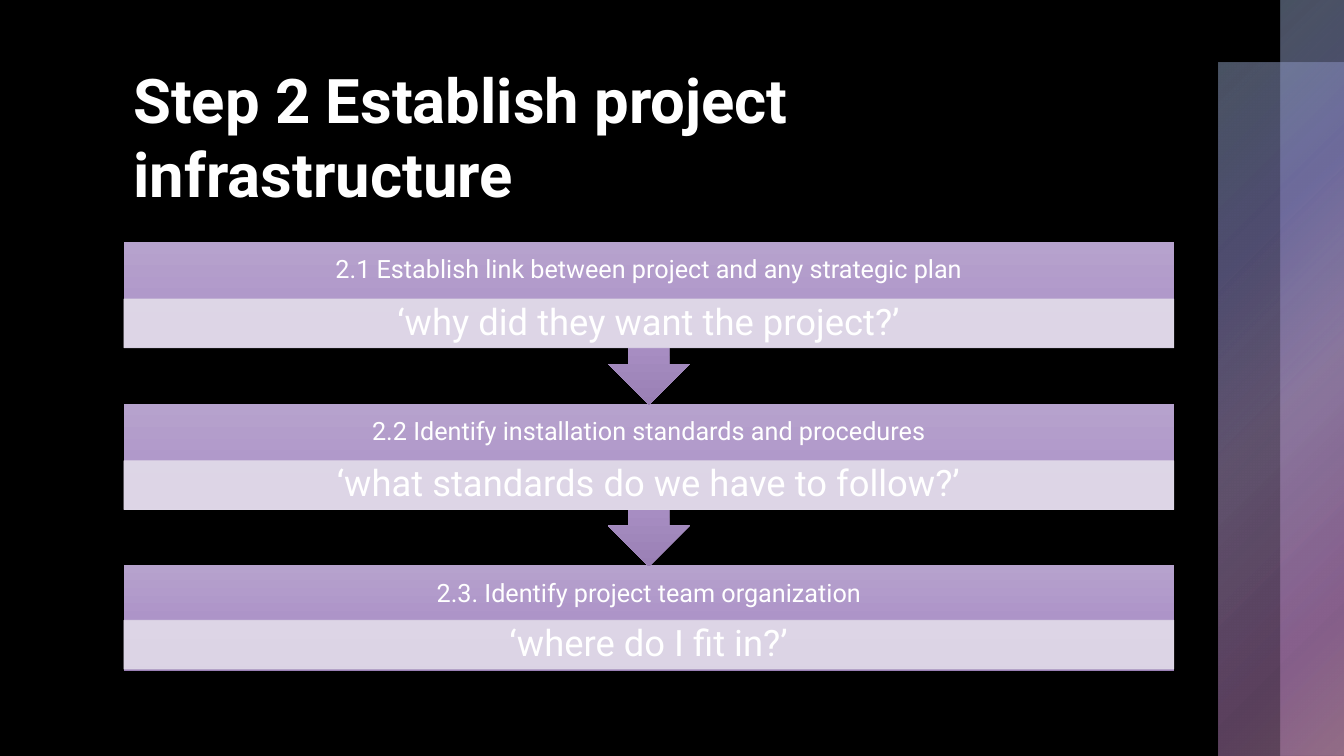
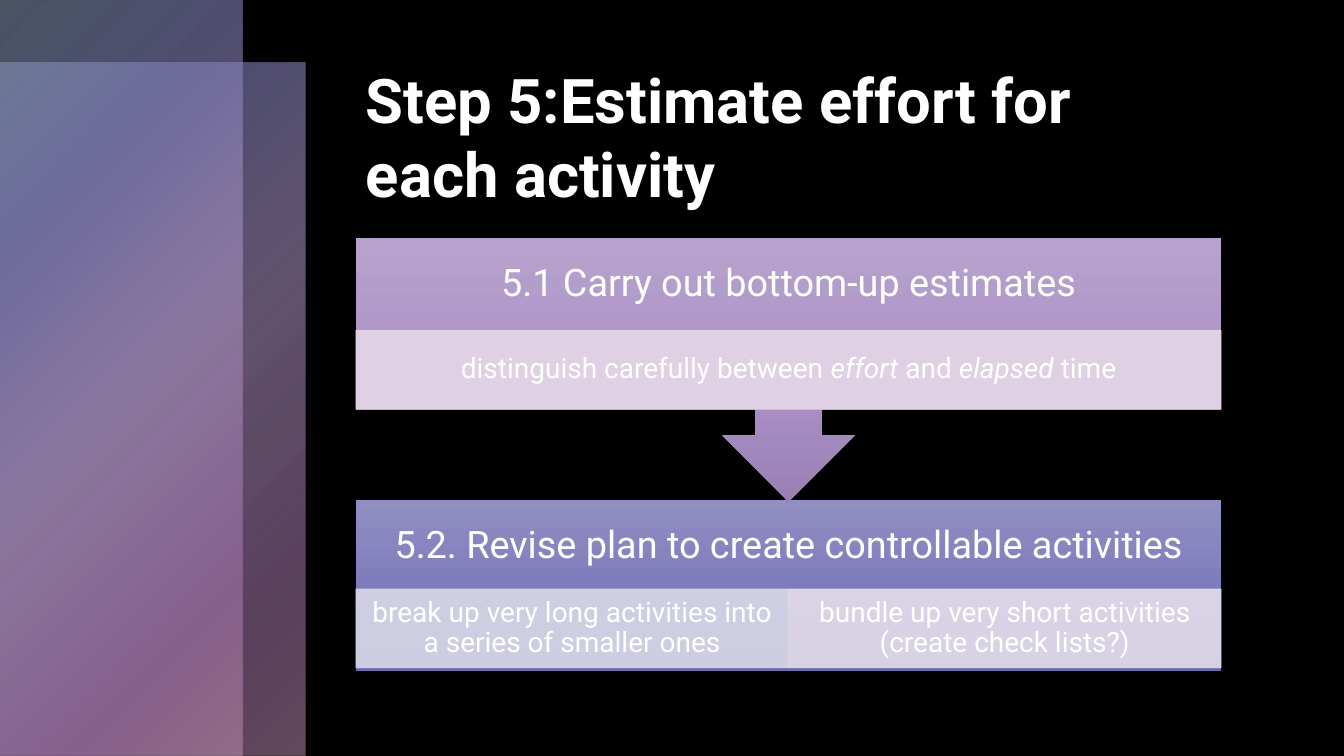
from dataclasses import dataclass

from lxml import etree
from pptx import Presentation
from pptx import util as u
from pptx.dml.color import RGBColor
from pptx.enum import shapes, text
from pptx.oxml import ns

FONT = "Roboto"
COLORS = {
    "ground": "000000", "text": "FFFFFF",
    "lilac": "E3DDEA", "rose": "E5D8E7", "ice": "D8D8E7",
}
# Gradient stops: position %, colour, opacity %
GLOW = [(0, "92A4C4", 50), (25, "827FBA", 60), (50, "AD96C6", 55),
        (81, "B37FBA", 50), (99, "C593B5", 50)]
PURPLE = [(0, "B6A2CD", 100), (50, "AD94C8", 100), (100, "9A80B5", 100)]
INDIGO = [(0, "918EC2", 100), (50, "7F7CBD", 100), (100, "6E6BAB", 100)]

# The slide is a grid of 64 columns by 36 rows of square cells
COLS, ROWS = 64, 36
SLIDE_W, SLIDE_H = u.Inches(13.333), u.Inches(7.5)
CELL = SLIDE_H / ROWS

# Shares of a stage's box height
HEADER_SHARE, STRIP_SHARE, LAST_STRIP_TOP = 0.54, 0.46, 0.52
CALLOUT_BOX_SHARE = 0.65
OPACITY = 90


@dataclass(frozen=True)
class Area:
    col: float
    row: float
    cols: float
    rows: float

    def emu(self) -> list[int]:
        return [round(n * CELL) for n in (self.col, self.row, self.cols, self.rows)]


@dataclass(frozen=True)
class Detail:
    runs: tuple[str, ...]  # every second run is italic
    color: str = "lilac"


@dataclass(frozen=True)
class Stage:
    header: str
    details: tuple[Detail, ...]
    gradient: list


@dataclass(frozen=True)
class Flow:
    area: Area  # rows is the height of one box
    pitch: float
    header_pt: float
    detail_pt: float
    header_inset: float
    detail_insets: tuple[float, float]
    stages: tuple[Stage, ...]


@dataclass(frozen=True)
class Page:
    title: str
    title_area: Area
    bands: tuple[Area, ...]
    flow: Flow


PAGES = (
    Page(
        "Step 2 Establish project infrastructure",
        Area(5.88, 2.4, 49.76, 8.16),
        (Area(58, 3, 6, 33), Area(61, 0, 3, 36)),
        Flow(Area(5.9, 11.52, 50, 5.04), 7.7, 18, 26, 0.14, (0.2, 0.04), (
            Stage("2.1 Establish link between project and any strategic plan",
                  (Detail(("‘why did they want the project?’",)),), PURPLE),
            Stage("2.2 Identify installation standards and procedures",
                  (Detail(("‘what standards do we have to follow?’",)),), PURPLE),
            Stage("2.3. Identify project team organization",
                  (Detail(("‘where do I fit in?’",)),), PURPLE),
        )),
    ),
    Page(
        "Step 5:Estimate effort for each activity",
        Area(16.95, 2.4, 41.2, 8.16),
        (Area(0, 3, 14.55, 33), Area(0, 0, 11.57, 36)),
        Flow(Area(16.95, 11.33, 41.2, 8.16), 12.48, 27, 20, 0.21, (0.16, 0.03), (
            Stage("5.1 Carry out bottom-up estimates",
                  (Detail(("distinguish carefully between ", "effort", " and ",
                           "elapsed", " time"), "rose"),), PURPLE),
            Stage("5.2. Revise plan to create controllable activities",
                  (Detail(("break up very long activities into a series of "
                           "smaller ones",), "ice"),
                   Detail(("bundle up very short activities (create check lists?)",))),
                  INDIGO),
        )),
    ),
)


def rgb(name: str) -> RGBColor:
    return RGBColor.from_string(COLORS[name])


def set_opacity(fill_parent, percent: int) -> None:
    color = next(fill_parent.iter(ns.qn("a:srgbClr")))
    etree.SubElement(color, ns.qn("a:alpha")).set("val", str(percent * 1000))


def add_gradient(slide, kind, area: Area, stops: list, radial: bool = False):
    """Draw an unlined shape with a gradient running down or out of its corner."""
    shape = slide.shapes.add_shape(kind, *area.emu())
    shape.shadow.inherit = False
    shape.line.fill.background()
    grad = etree.Element(ns.qn("a:gradFill"), rotWithShape="1")
    stop_list = etree.SubElement(grad, ns.qn("a:gsLst"))
    for position, color, opacity in stops:
        stop = etree.SubElement(stop_list, ns.qn("a:gs"), pos=str(position * 1000))
        value = etree.SubElement(stop, ns.qn("a:srgbClr"), val=color)
        if opacity < 100:
            etree.SubElement(value, ns.qn("a:alpha"), val=str(opacity * 1000))
    if radial:
        path_fill = etree.SubElement(grad, ns.qn("a:path"), path="circle")
        etree.SubElement(path_fill, ns.qn("a:fillToRect"), r="100000", b="100000")
    else:
        etree.SubElement(grad, ns.qn("a:lin"), ang="5400000", scaled="0")
    shape.fill.background()
    no_fill = shape._element.spPr.find(ns.qn("a:noFill"))
    shape._element.spPr.replace(no_fill, grad)
    return shape


def write(shape, runs: tuple[str, ...], size: float, insets: tuple[float, float],
          align=text.PP_ALIGN.CENTER, spacing: float = 0.9, bold: bool = False) -> None:
    frame = shape.text_frame
    frame.word_wrap = True
    frame.vertical_anchor = text.MSO_ANCHOR.MIDDLE
    frame.margin_left = frame.margin_right = u.Inches(insets[0])
    frame.margin_top = frame.margin_bottom = u.Inches(insets[1])
    paragraph = frame.paragraphs[0]
    paragraph.alignment = align
    paragraph.line_spacing = spacing
    for index, words in enumerate(runs):
        run = paragraph.add_run()
        run.text = words
        if index % 2:
            run.font.italic = True
    font = paragraph.font
    font.name, font.size, font.bold = FONT, u.Pt(size), bold
    font.color.rgb = rgb("text")


def add_strip(slide, area: Area, detail: Detail, flow: Flow) -> None:
    strip = slide.shapes.add_shape(shapes.MSO_SHAPE.RECTANGLE, *area.emu())
    strip.shadow.inherit = False
    for fill in (strip.fill, strip.line.fill):
        fill.solid()
        fill.fore_color.rgb = rgb(detail.color)
    strip.line.width = u.Pt(0.5)
    props = strip._element.spPr
    set_opacity(props.find(ns.qn("a:solidFill")), OPACITY)
    set_opacity(props.find(ns.qn("a:ln")), OPACITY)
    write(strip, detail.runs, flow.detail_pt, flow.detail_insets)


def add_stage(slide, flow: Flow, index: int) -> None:
    stage, box = flow.stages[index], flow.area
    last = index == len(flow.stages) - 1
    top = box.row + index * flow.pitch
    # Body: a box, with an arrow to the next stage where there is one
    kind = (shapes.MSO_SHAPE.RECTANGLE if last
            else shapes.MSO_SHAPE.DOWN_ARROW_CALLOUT)
    height = box.rows if last else box.rows / CALLOUT_BOX_SHARE
    add_gradient(slide, kind, Area(box.col, top, box.cols, height), stage.gradient)
    # Header
    header_area = Area(box.col, top, box.cols, HEADER_SHARE * box.rows)
    header = slide.shapes.add_textbox(*header_area.emu())
    write(header, (stage.header,), flow.header_pt, (flow.header_inset,) * 2)
    # Details share the width equally
    width = box.cols / len(stage.details)
    strip_top = top + box.rows * (LAST_STRIP_TOP if last else HEADER_SHARE)
    for place, detail in enumerate(stage.details):
        area = Area(box.col + place * width, strip_top, width, STRIP_SHARE * box.rows)
        add_strip(slide, area, detail, flow)


def add_page(deck, page: Page) -> None:
    slide = deck.slides.add_slide(deck.slide_layouts[6])
    slide.background.fill.solid()
    slide.background.fill.fore_color.rgb = rgb("ground")
    for band in page.bands:
        add_gradient(slide, shapes.MSO_SHAPE.RECTANGLE, band, GLOW, radial=True)
    title = slide.shapes.add_textbox(*page.title_area.emu())
    write(title, (page.title,), 44, (0.1, 0.05), text.PP_ALIGN.LEFT, 1.0, bold=True)
    # Later stages lie behind the arrows that point at them
    for index in reversed(range(len(page.flow.stages))):
        add_stage(slide, page.flow, index)


def main() -> None:
    deck = Presentation()
    deck.slide_width, deck.slide_height = SLIDE_W, SLIDE_H
    for page in PAGES:
        add_page(deck, page)
    deck.save("out.pptx")


if __name__ == "__main__":
    main()
